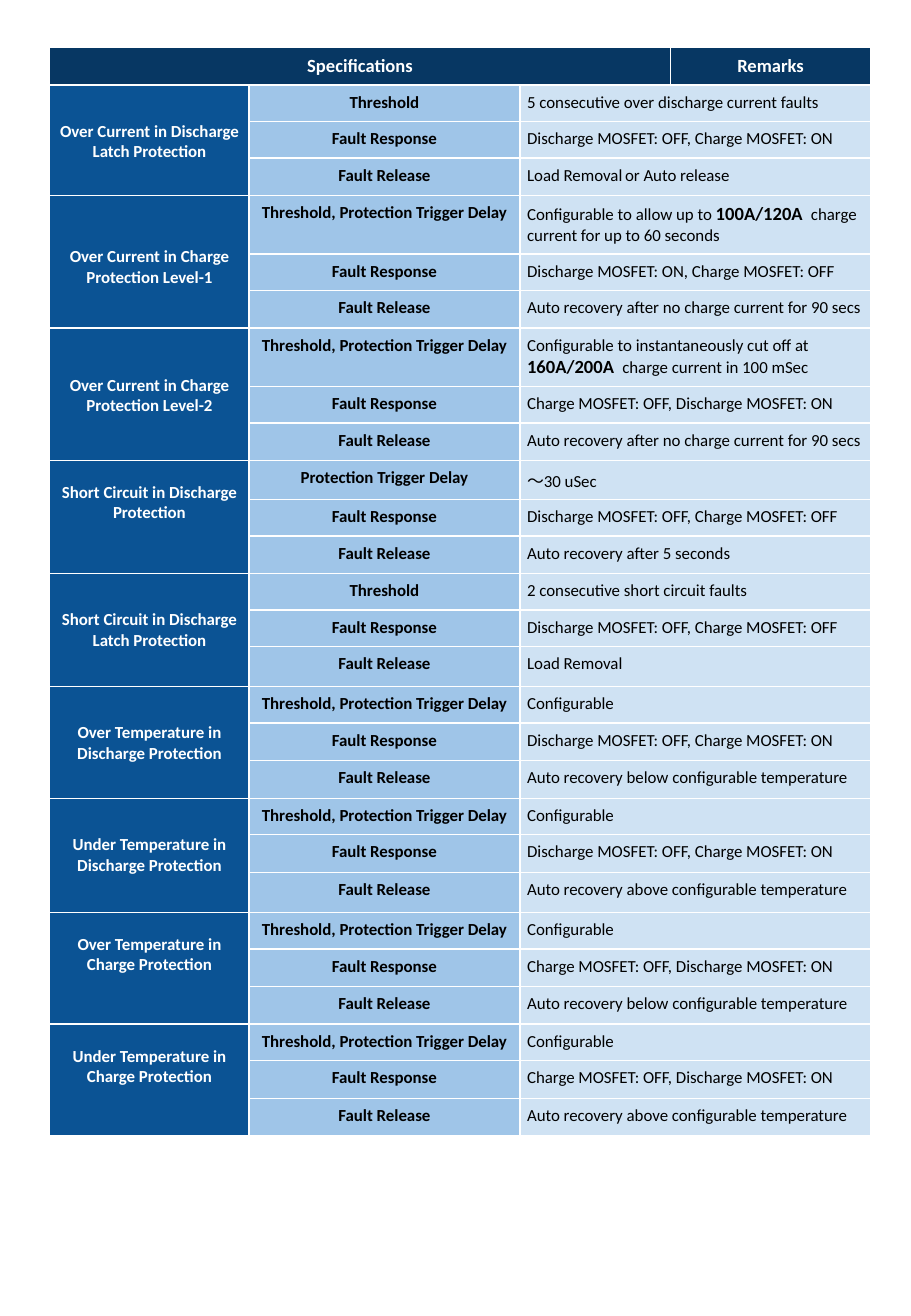
import pptx
import pptx.util
import pptx.dml.color
import pptx.enum.text
from lxml import etree
from pptx.oxml.ns import qn

Inches = pptx.util.Inches
Pt = pptx.util.Pt
CENTER = pptx.enum.text.PP_ALIGN.CENTER
LEFT = pptx.enum.text.PP_ALIGN.LEFT

# Style
FONT = "Calibri"
WHITE, BLACK = "FFFFFF", "000000"
NAVY, BLUE, SKY, PALE = "073763", "0B5394", "9FC5E8", "CFE2F3"
INSET = 0.06
COLUMN_WIDTHS = [1.64, 2.23, 1.24, 1.65]
HEADER_HEIGHT = 0.31

# Repeated wording
TRIGGER = "Threshold, Protection Trigger Delay"
STEPS = ["Fault Response", "Fault Release"]
BOTH_OFF = "Discharge MOSFET: OFF, Charge MOSFET: OFF"
CHARGE_ON = "Discharge MOSFET: OFF, Charge MOSFET: ON"
DISCHARGE_ON = "Charge MOSFET: OFF, Discharge MOSFET: ON"
AFTER_90 = "Auto recovery after no charge current for 90 secs"
BELOW = "Auto recovery below configurable temperature"
ABOVE = "Auto recovery above configurable temperature"

# Each protection: name, top inset, first label, three remarks, three row heights
# A remark is a string or a list of (text, size, bold)
PROTECTIONS = [
    ("Over Current in Discharge Latch Protection", 0.3, "Threshold",
     ["5 consecutive over discharge current faults", CHARGE_ON,
      [("Load Removal", 10, False), (" ", 7, False), ("or Auto release", 10, False)]],
     [0.3, 0.3, 0.31]),
    ("Over Current in Charge Protection Level-1", 0.42, TRIGGER,
     [[("Configurable to allow up to ", 10, False), ("100A/120A ", 11, True),
       (" charge current for up to 60 seconds", 10, False)],
      "Discharge MOSFET: ON, Charge MOSFET: OFF", AFTER_90],
     [0.48, 0.3, 0.31]),
    ("Over Current in Charge Protection Level-2", 0.39, TRIGGER,
     [[("Configurable to instantaneously cut off at ", 10, False), ("160A/200A ", 11, True),
       (" charge current in 100 mSec", 10, False)],
      DISCHARGE_ON, AFTER_90],
     [0.48, 0.3, 0.31]),
    ("Short Circuit in Discharge Protection", 0.18, "Protection Trigger Delay",
     ["～30 uSec", BOTH_OFF, "Auto recovery after 5 seconds"], [0.3, 0.3, 0.31]),
    ("Short Circuit in Discharge Latch Protection", 0.3, "Threshold",
     ["2 consecutive short circuit faults", BOTH_OFF, "Load Removal"], [0.3, 0.3, 0.33]),
    ("Over Temperature in Discharge Protection", 0.3, TRIGGER,
     ["Configurable", CHARGE_ON, BELOW], [0.3, 0.31, 0.31]),
    ("Under Temperature in Discharge Protection", 0.3, TRIGGER,
     ["Configurable", CHARGE_ON, ABOVE], [0.3, 0.31, 0.33]),
    ("Over Temperature in Charge Protection", 0.18, TRIGGER,
     ["Configurable", DISCHARGE_ON, BELOW], [0.3, 0.31, 0.31]),
    ("Under Temperature in Charge Protection", 0.18, TRIGGER,
     ["Configurable", DISCHARGE_ON, ABOVE], [0.3, 0.31, 0.31]),
]


def rgb(value):
    return pptx.dml.color.RGBColor.from_string(value)


class SpecSheet:
    """Holds the current slide and the look of its table."""

    def __init__(self, deck):
        self.slide = deck.slides.add_slide(deck.slide_layouts[6])

    def table(self, left, top, widths, heights):
        frame = self.slide.shapes.add_table(
            len(heights), len(widths), Inches(left), Inches(top),
            Inches(sum(widths)), Inches(sum(heights)))
        grid = frame.table
        grid.first_row = grid.horz_banding = False
        for column, width in zip(grid.columns, widths):
            column.width = Inches(width)
        for row, height in zip(grid.rows, heights):
            row.height = Inches(height)
        for cell in grid.iter_cells():
            self.border(cell)
        return grid

    def border(self, cell):
        properties = cell._tc.get_or_add_tcPr()
        for side in ("a:lnL", "a:lnR", "a:lnT", "a:lnB"):
            line = etree.SubElement(properties, qn(side), w=str(Pt(1)))
            fill = etree.SubElement(line, qn("a:solidFill"))
            etree.SubElement(fill, qn("a:srgbClr"), val=WHITE)

    def cell(self, cell, content, fill, color=BLACK, size=10, bold=True,
             align=CENTER, top=INSET):
        cell.fill.solid()
        cell.fill.fore_color.rgb = rgb(fill)
        cell.margin_left = cell.margin_right = cell.margin_bottom = Inches(INSET)
        cell.margin_top = Inches(top)
        paragraph = cell.text_frame.paragraphs[0]
        paragraph.alignment = align
        pieces = [(content, size, bold)] if isinstance(content, str) else content
        for text, piece_size, piece_bold in pieces:
            run = paragraph.add_run()
            run.text = text
            run.font.name = FONT
            run.font.size = Pt(piece_size)
            run.font.bold = piece_bold
            run.font.color.rgb = rgb(color)


def main():
    deck = pptx.Presentation()
    deck.slide_width, deck.slide_height = Inches(7.5), Inches(10.83)
    sheet = SpecSheet(deck)
    heights = [HEADER_HEIGHT] + [h for protection in PROTECTIONS for h in protection[-1]]
    specs = sheet.table(0.41, 0.39, COLUMN_WIDTHS, heights)

    # Header row
    specs.cell(0, 0).merge(specs.cell(0, 2))
    for column, heading in ((0, "Specifications"), (3, "Remarks")):
        sheet.cell(specs.cell(0, column), heading, NAVY, WHITE, size=11)

    # Three rows for each protection
    for index, (name, top, first_label, remarks, _) in enumerate(PROTECTIONS):
        first_row = 1 + 3 * index
        specs.cell(first_row, 0).merge(specs.cell(first_row + 2, 0))
        sheet.cell(specs.cell(first_row, 0), name, BLUE, WHITE, top=top)
        for row, (label, remark) in enumerate(zip([first_label] + STEPS, remarks), first_row):
            specs.cell(row, 2).merge(specs.cell(row, 3))
            sheet.cell(specs.cell(row, 1), label, SKY)
            sheet.cell(specs.cell(row, 2), remark, PALE, bold=False, align=LEFT)

    deck.save("out.pptx")


if __name__ == "__main__":
    main()
